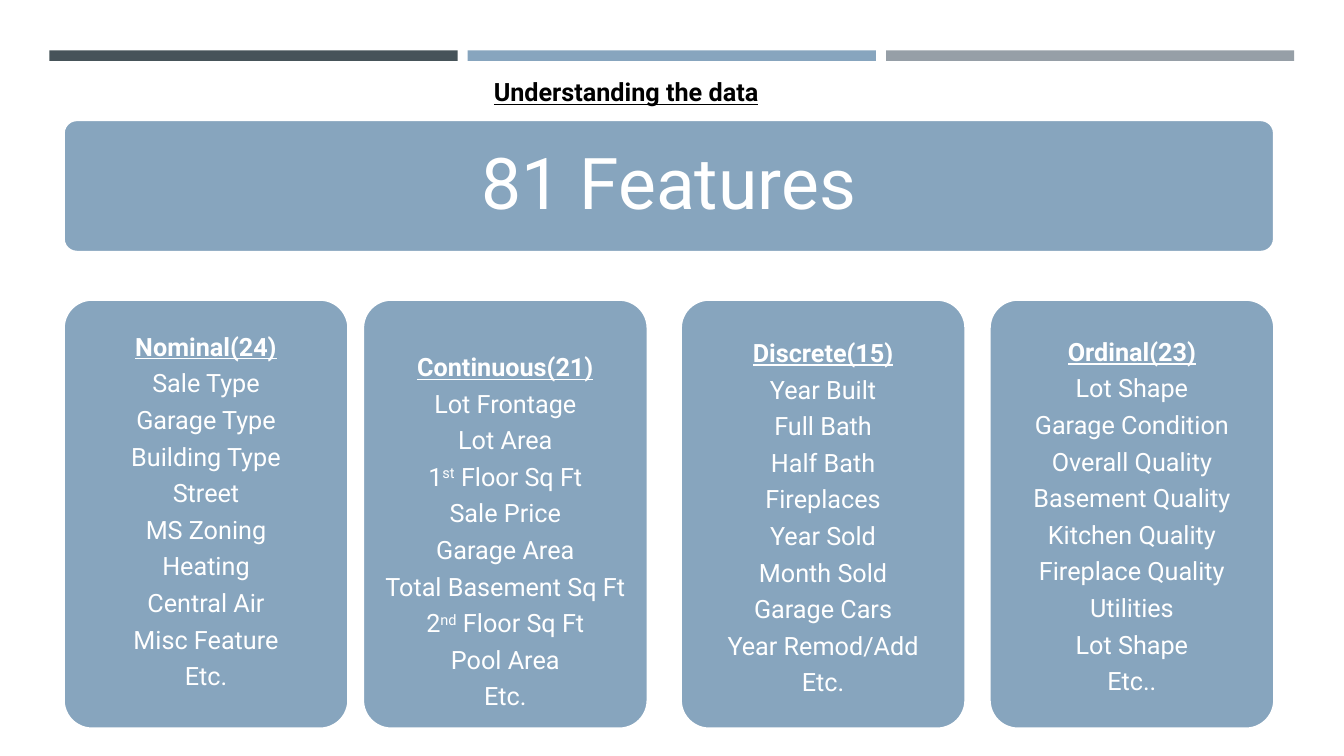
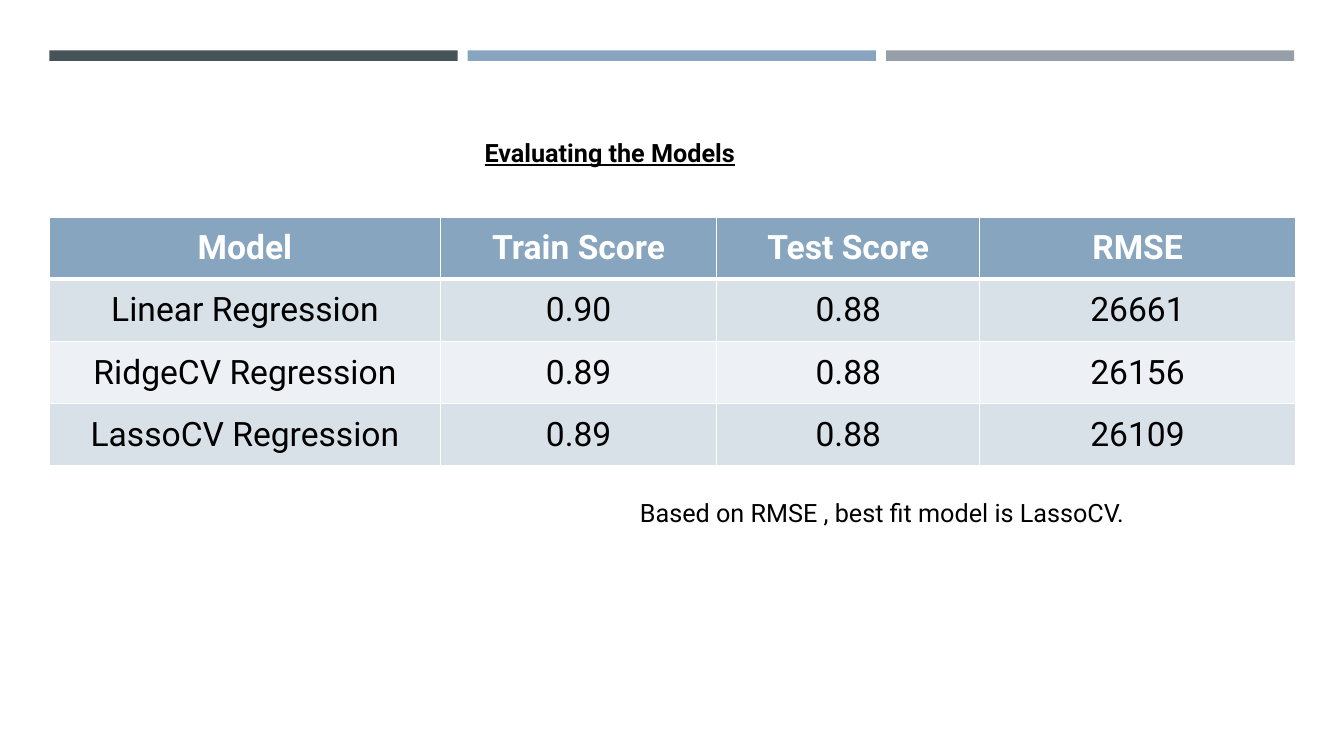
from dataclasses import dataclass

from lxml import etree
from pptx import Presentation
from pptx.dml.color import RGBColor
from pptx.enum.shapes import MSO_SHAPE
from pptx.enum.text import MSO_ANCHOR, PP_ALIGN
from pptx.oxml.ns import qn
from pptx.util import Pt

RECT = MSO_SHAPE.RECTANGLE
ROUNDED = MSO_SHAPE.ROUNDED_RECTANGLE
TOP = MSO_ANCHOR.TOP
MIDDLE = MSO_ANCHOR.MIDDLE
LEFT = PP_ALIGN.LEFT
CENTER = PP_ALIGN.CENTER


@dataclass(frozen=True)
class Theme:
    font: str = "Roboto"
    slate: str = "465359"
    blue: str = "87A5BE"
    gray: str = "969FA7"
    white: str = "FFFFFF"
    black: str = "000000"
    row_dark: str = "D9E1E8"
    row_light: str = "EDF0F4"
    body: int = 18
    table: int = 24
    banner: int = 51


class Deck:
    def __init__(self, theme):
        self.t = theme
        self.prs = Presentation()
        self.prs.slide_width, self.prs.slide_height = Pt(960), Pt(540)
        self.s = None

    def new_slide(self):
        self.s = self.prs.slides.add_slide(self.prs.slide_layouts[6])
        for i, color in enumerate((self.t.slate, self.t.blue, self.t.gray)):
            self.shape(RECT, 35.3 + 298.8 * i, 36, 291.6, 7.5, color)

    def shape(self, kind, x, y, w, h, color):
        sp = self.s.shapes.add_shape(kind, Pt(x), Pt(y), Pt(w), Pt(h))
        sp.shadow.inherit = False
        sp.fill.solid()
        sp.fill.fore_color.rgb = RGBColor.from_string(color)
        sp.line.fill.background()
        return sp

    def style(self, p, size, color, bold=False, underline=False, align=CENTER):
        p.alignment = align
        p.font.name = self.t.font
        p.font.size = Pt(size)
        p.font.bold = bold
        p.font.underline = underline
        p.font.color.rgb = RGBColor.from_string(color)

    def text(self, x, y, w, h, text, heading=False):
        sp = self.s.shapes.add_textbox(Pt(x), Pt(y), Pt(w), Pt(h))
        tf = sp.text_frame
        tf.word_wrap = True
        p = tf.paragraphs[0]
        p.text = text
        self.style(p, self.t.body, self.t.black, heading, heading, LEFT)

    def panel(self, x, y, w, h):
        sp = self.shape(ROUNDED, x, y, w, h, self.t.blue)
        sp.adjustments[0] = 0.1
        sp.line.color.rgb = RGBColor.from_string(self.t.white)
        sp.line.width = Pt(1.75)
        return sp.text_frame

    def banner(self, x, y, w, h, text):
        tf = self.panel(x, y, w, h)
        tf.vertical_anchor = MIDDLE
        p = tf.paragraphs[0]
        p.text = text
        p.line_spacing = 0.9
        self.style(p, self.t.banner, self.t.white)

    def card(self, x, y, w, h, inset, lines):
        tf = self.panel(x, y, w, h)
        tf.vertical_anchor = TOP
        tf.margin_left = tf.margin_right = Pt(5)
        tf.margin_top, tf.margin_bottom = Pt(inset), Pt(0)
        for i, line in enumerate(lines):
            p = tf.add_paragraph() if i else tf.paragraphs[0]
            p.line_spacing = 0.9
            p.space_after = Pt(6.7)
            self.style(p, self.t.body, self.t.white, i == 0, i == 0)
            for j, part in enumerate(line.split("^")):
                r = p.add_run()
                r.text = part
                if j % 2:
                    r._r.get_or_add_rPr().set("baseline", "30000")

    def border(self, cell, **widths):
        tc_pr = cell._tc.get_or_add_tcPr()
        for side, width in widths.items():
            ln = etree.SubElement(tc_pr, qn(f"a:ln{side}"), w=str(Pt(width)))
            fill = etree.SubElement(ln, qn("a:solidFill"))
            etree.SubElement(fill, qn("a:srgbClr"), val=self.t.white)

    def table(self, x, y, widths, row_h, rows):
        t = self.t
        tbl = self.s.shapes.add_table(len(rows), len(widths), Pt(x), Pt(y),
                                      Pt(sum(widths)), Pt(row_h * len(rows))).table
        for col, width in zip(tbl.columns, widths):
            col.width = Pt(width)
        for i, row in enumerate(rows):
            header = i == 0
            band = t.blue if header else t.row_dark if i % 2 else t.row_light
            for j, value in enumerate(row):
                cell = tbl.cell(i, j)
                self.border(cell, L=1, R=1, T=3 if i == 1 else 1, B=3 if header else 1)
                cell.fill.solid()
                cell.fill.fore_color.rgb = RGBColor.from_string(band)
                cell.vertical_anchor = MIDDLE
                cell.margin_left = cell.margin_right = Pt(13.5)
                cell.margin_top = cell.margin_bottom = Pt(6.75)
                p = cell.text_frame.paragraphs[0]
                p.text = value
                self.style(p, t.table, t.white if header else t.black, header)


CARDS = [
    (45.4, 19, ["Nominal(24)", "Sale Type", "Garage Type", "Building Type", "Street",
                "MS Zoning", "Heating", "Central Air", "Misc Feature", "Etc."]),
    (259.2, 33.5, ["Continuous(21)", "Lot Frontage", "Lot Area", "1^st^ Floor Sq Ft",
                   "Sale Price", "Garage Area", "Total Basement Sq Ft",
                   "2^nd^ Floor Sq Ft", "Pool Area", "Etc."]),
    (486.2, 23.4, ["Discrete(15)", "Year Built", "Full Bath", "Half Bath", "Fireplaces",
                   "Year Sold", "Month Sold", "Garage Cars", "Year Remod/Add", "Etc."]),
    (706.8, 22.6, ["Ordinal(23)", "Lot Shape", "Garage Condition", "Overall Quality",
                   "Basement Quality", "Kitchen Quality", "Fireplace Quality",
                   "Utilities", "Lot Shape", "Etc.."]),
]

SCORES = [
    ["Model", "Train Score", "Test Score", "RMSE"],
    ["Linear Regression", "0.90", "0.88", "26661"],
    ["RidgeCV Regression", "0.89", "0.88", "26156"],
    ["LassoCV Regression", "0.89", "0.88", "26109"],
]


def main():
    deck = Deck(Theme())

    deck.new_slide()
    deck.banner(45.4, 85.7, 864.7, 94.3, "81 Features")
    for x, inset, lines in CARDS:
        deck.card(x, 214, 203.5, 306.5, inset, lines)
    deck.text(345.6, 51.1, 347, 29, "Understanding the data", heading=True)

    deck.new_slide()
    deck.table(35.3, 155, [279.4, 197.3, 187.9, 225.4], 44.5, SCORES)
    deck.text(339, 94.5, 507.6, 29, "Evaluating the Models", heading=True)
    deck.text(450, 352, 504.7, 72.7, "Based on RMSE , best fit model is LassoCV.")

    deck.prs.save("out.pptx")


if __name__ == "__main__":
    main()
